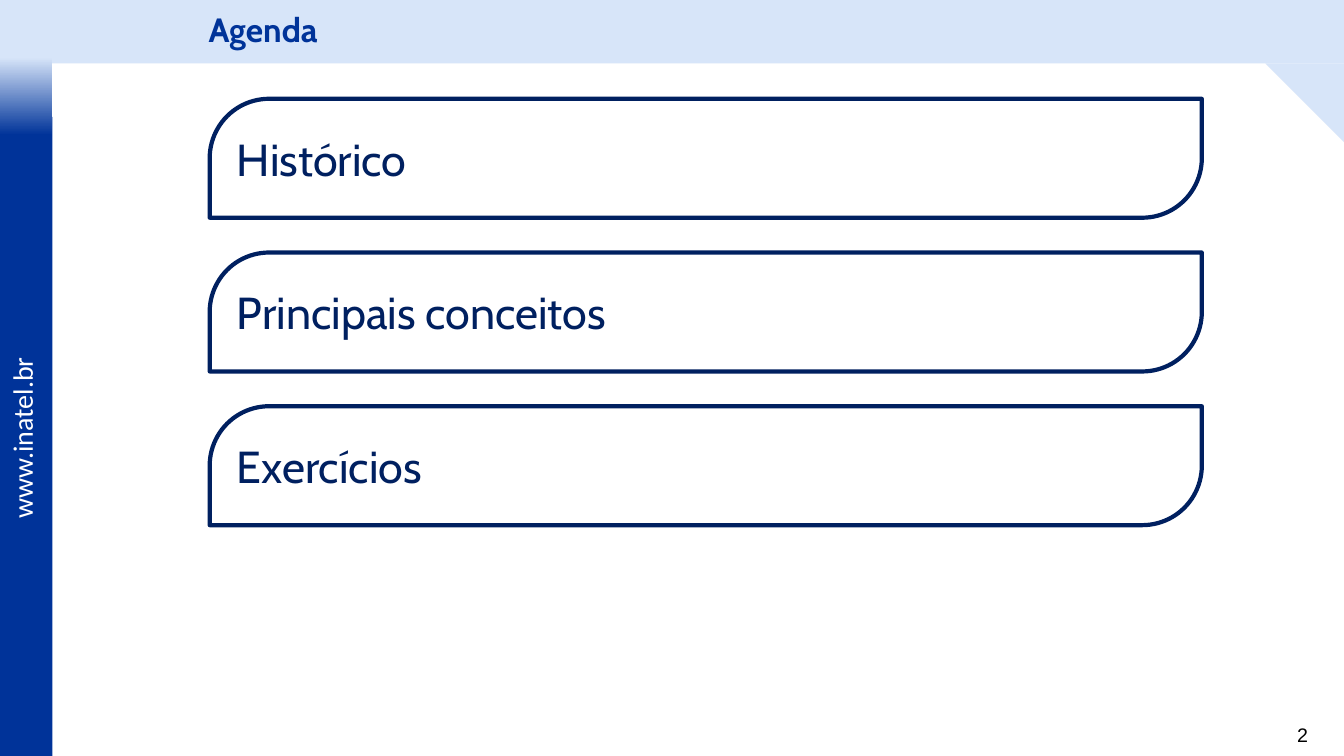
from dataclasses import dataclass

from pptx import Presentation
from pptx.dml.color import RGBColor
from pptx.enum.shapes import MSO_SHAPE
from pptx.enum.text import MSO_ANCHOR, PP_ALIGN
from pptx.util import Inches, Pt

RECT = MSO_SHAPE.RECTANGLE
WEDGE = MSO_SHAPE.ISOSCELES_TRIANGLE
CARD = MSO_SHAPE.ROUND_2_DIAG_RECTANGLE
TOP, MIDDLE = MSO_ANCHOR.TOP, MSO_ANCHOR.MIDDLE
LEFT, RIGHT = PP_ALIGN.LEFT, PP_ALIGN.RIGHT


@dataclass(frozen=True)
class Theme:
    pale: RGBColor = RGBColor(0xD7, 0xE5, 0xF9)
    blue: RGBColor = RGBColor(0x00, 0x33, 0x99)
    navy: RGBColor = RGBColor(0x00, 0x20, 0x60)
    white: RGBColor = RGBColor(0xFF, 0xFF, 0xFF)
    black: RGBColor = RGBColor(0x00, 0x00, 0x00)
    head: str = "Cabin"
    side: str = "Calibri"
    foot: str = "Arial"
    title: Pt = Pt(24)
    topic: Pt = Pt(32)
    link: Pt = Pt(20)
    page: Pt = Pt(14)


THEME = Theme()
WIDTH, HEIGHT = 13.33, 7.5
BAND = 0.63  # height of the top band
STRIP = 0.52  # width of the side strip
TOPICS = ("Histórico", "Principais conceitos", "Exercícios")
CARD_TOP, CARD_STEP = 0.98, 1.525


def write(shape, text, anchor=TOP, align=LEFT, **style):
    """Put one formatted paragraph in a shape."""
    frame = shape.text_frame
    frame.word_wrap = True
    frame.vertical_anchor = anchor
    para = frame.paragraphs[0]
    para.alignment = align
    run = para.add_run()
    run.text = text
    color = style.pop("color")
    for name, value in style.items():
        setattr(run.font, name, value)
    run.font.color.rgb = color
    return para


def add_label(slide, box, text, **style):
    label = slide.shapes.add_textbox(*map(Inches, box))
    return label, write(label, text, **style)


def add_block(slide, kind, box, color):
    block = slide.shapes.add_shape(kind, *map(Inches, box))
    block.shadow.inherit = False
    block.fill.solid()
    block.fill.fore_color.rgb = color
    block.line.fill.background()
    return block


def add_fade(slide, box, colors):
    """Add a block that fades downward from the first color to the second."""
    fill = add_block(slide, RECT, box, colors[0]).fill
    fill.gradient()
    fill.gradient_angle = 270
    for stop, place, color in zip(fill.gradient_stops, (0, 1), colors):
        stop.position = place
        stop.color.rgb = color


def add_card(slide, top, text):
    card = add_block(slide, CARD, (2.08, top, 9.84, 1.18), THEME.white)
    card.adjustments[0] = 0.5
    card.adjustments[1] = 0
    card.line.color.rgb = THEME.navy
    card.line.width = Pt(3)
    write(card, text, anchor=MIDDLE, name=THEME.head, size=THEME.topic,
          color=THEME.navy)


def add_frame(slide):
    # Top band and side strip
    add_block(slide, RECT, (0, 0, WIDTH, BAND), THEME.pale)
    add_block(slide, RECT, (0, 1.16, STRIP, HEIGHT - 1.16), THEME.blue)
    add_fade(slide, (0, 0.57, STRIP, 0.77), (THEME.pale, THEME.blue))

    # Corner wedge
    wedge = add_block(slide, WEDGE, (12.55, BAND, 0.79, 0.79), THEME.pale)
    wedge.adjustments[0] = 0
    wedge.rotation = 180

    # Web address and page number
    link, _ = add_label(slide, (-0.72, 4.09, 1.87, 0.43), "www.inatel.br",
                        name=THEME.side, size=THEME.link, color=THEME.white)
    link.rotation = 270
    add_label(slide, (12.42, 7.12, 0.65, 0.34), "2", align=RIGHT,
              name=THEME.foot, size=THEME.page, color=THEME.black)


def main():
    deck = Presentation()
    deck.slide_width, deck.slide_height = Inches(WIDTH), Inches(HEIGHT)
    slide = deck.slides.add_slide(deck.slide_layouts[6])

    add_frame(slide)

    # Title
    _, title = add_label(slide, (1.97, 0, 11.36, BAND), "Agenda",
                         anchor=MIDDLE, name=THEME.head, size=THEME.title,
                         bold=True, color=THEME.blue)
    title.line_spacing = 0.9

    # Topics
    for row, topic in enumerate(TOPICS):
        add_card(slide, CARD_TOP + row * CARD_STEP, topic)

    deck.save("out.pptx")


if __name__ == "__main__":
    main()
